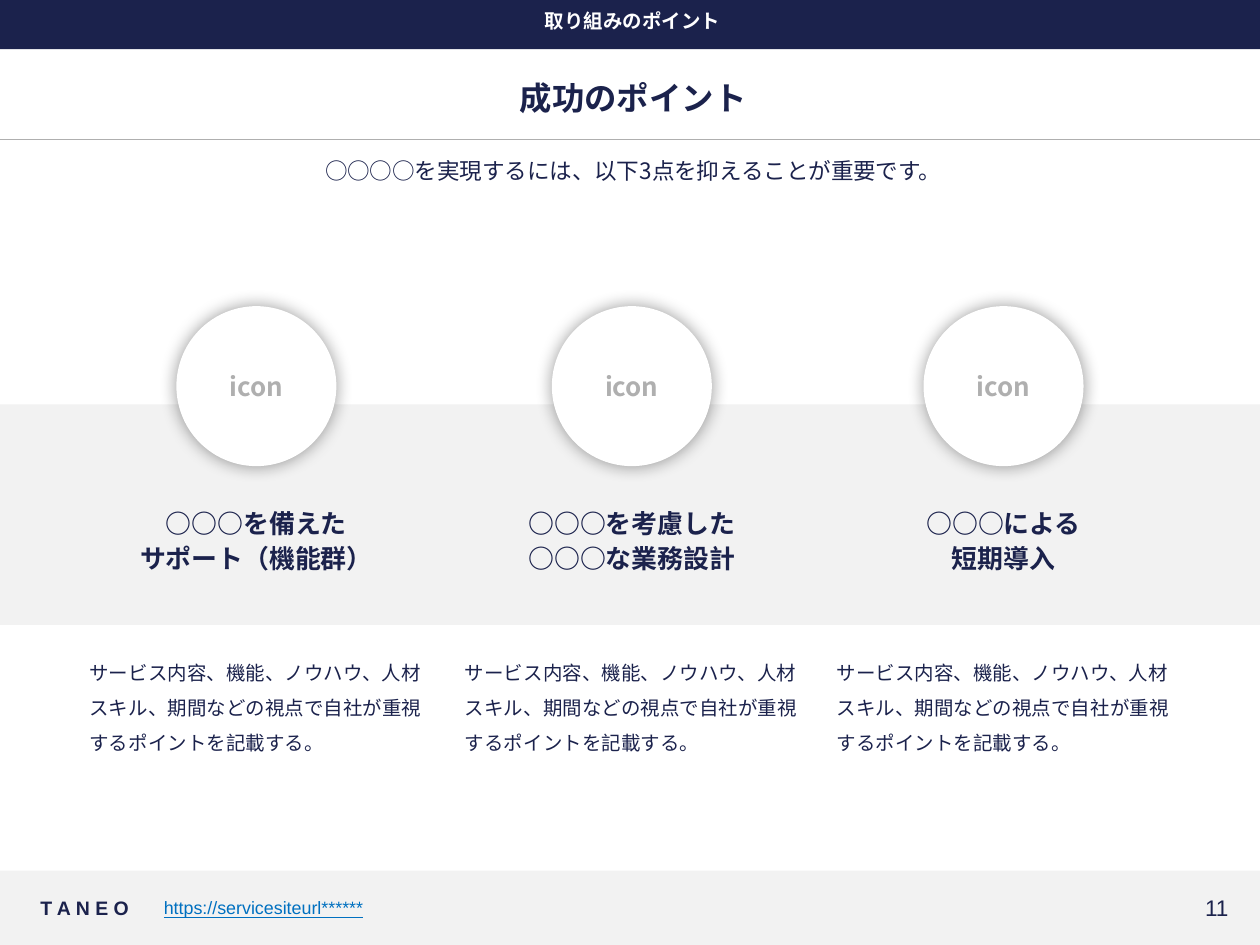
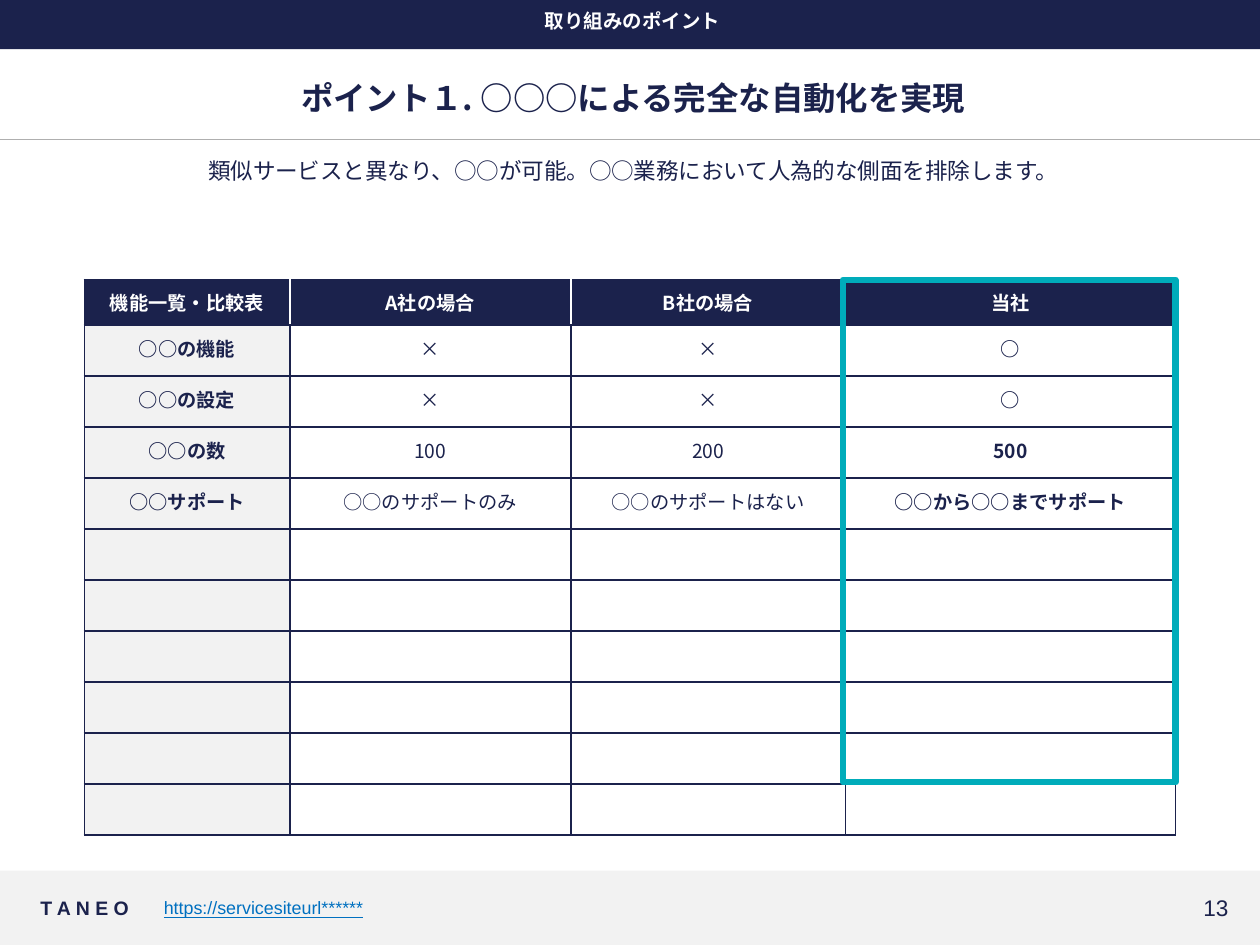
from lxml import etree
from pptx import Presentation
from pptx.dml.color import RGBColor
from pptx.enum.shapes import MSO_CONNECTOR, MSO_SHAPE
from pptx.enum.text import MSO_ANCHOR as ANCHOR, PP_ALIGN as ALIGN
from pptx.oxml.ns import qn
from pptx.util import Inches, Pt

NAVY = RGBColor(0x1B, 0x22, 0x4C)
WHITE = RGBColor(0xFF, 0xFF, 0xFF)
PALE = RGBColor(0xF2, 0xF2, 0xF2)
GRAY = RGBColor(0xAF, 0xAF, 0xAF)
BLUE = RGBColor(0x00, 0x70, 0xC0)
TEAL = RGBColor(0x00, 0xAC, 0xBA)
SANS, ARIAL = "Noto Sans CJK JP", "Arial"


def write(tf, text, size, color=NAVY, bold=False, align=ALIGN.LEFT, font=SANS,
          anchor=ANCHOR.TOP, inset=0.04, spacing=None, after=0):
    """Fill a text frame, one paragraph per line of text, in one style."""
    tf.text = text
    tf.word_wrap = True
    tf.vertical_anchor = anchor
    tf.margin_left = tf.margin_right = Inches(inset)
    tf.margin_top = tf.margin_bottom = Inches(inset)
    for p in tf.paragraphs:
        p.alignment = align
        p.line_spacing = spacing
        p.space_before, p.space_after = Pt(0), Pt(after)
        p.font.size, p.font.bold, p.font.name = Pt(size), bold, font
        p.font.color.rgb = color
        props = p._p.pPr.find(qn("a:defRPr"))
        etree.SubElement(props, qn("a:ea")).set("typeface", SANS)


def add_box(s, kind, left, top, width, height, fill=None):
    """Add a text box (kind None) or a flat preset shape without outline."""
    place = [Inches(v) for v in (left, top, width, height)]
    if kind is None:
        return s.shapes.add_textbox(*place)
    sp = s.shapes.add_shape(kind, *place)
    sp.shadow.inherit = False
    sp.line.fill.background()
    if fill is None:
        sp.fill.background()
    else:
        sp.fill.solid()
        sp.fill.fore_color.rgb = fill
    return sp


prs = Presentation()
prs.slide_width, prs.slide_height = Inches(10), Inches(7.5)

# Shared frame: bands, rule, title, lead and footer
pages = [
    ("11", "成功のポイント", "○○○○を実現するには、以下3点を抑えることが重要です。"),
    ("13", "ポイント１. ○○○による完全な自動化を実現",
     "類似サービスと異なり、○○が可能。○○業務において人為的な側面を排除します。"),
]
slides = []
for number, title, lead in pages:
    s = prs.slides.add_slide(prs.slide_layouts[5])
    slides.append(s)
    add_box(s, MSO_SHAPE.RECTANGLE, 0, 6.91, 10, 0.59, PALE)
    add_box(s, MSO_SHAPE.RECTANGLE, 0, -0.01, 10, 0.4, NAVY)
    rule = s.shapes.add_connector(MSO_CONNECTOR.STRAIGHT, 0, Inches(1.11),
                                  Inches(10), Inches(1.11))
    rule.line.color.rgb, rule.line.width = GRAY, Pt(0.5)
    etree.SubElement(rule._element.spPr, qn("a:effectLst"))

    sp = s.shapes.title
    sp.left, sp.top = Inches(0.48), Inches(0.58)
    sp.width, sp.height = Inches(9.09), Inches(0.39)
    write(sp.text_frame, title, 18.5, bold=True, align=ALIGN.CENTER,
          anchor=ANCHOR.MIDDLE)
    write(add_box(s, None, 0.48, 0.05, 9.08, 0.3).text_frame, "取り組みのポイント",
          11.1, WHITE, True, ALIGN.CENTER, spacing=0.9)
    write(add_box(s, None, 0.48, 1.23, 9.09, 0.63).text_frame, lead, 12.9,
          align=ALIGN.CENTER, spacing=0.9)

    tf = add_box(s, None, 1.26, 7.05, 7.28, 0.31).text_frame
    write(tf, "https://servicesiteurl******", 10.2, BLUE, font=ARIAL,
          anchor=ANCHOR.MIDDLE)
    tf.paragraphs[0].font.underline = True
    tf = add_box(s, None, 0.28, 7.05, 0.98, 0.31).text_frame
    write(tf, "T A N E O", 11.1, bold=True, font=ARIAL, anchor=ANCHOR.MIDDLE)
    tf.word_wrap = False
    write(add_box(s, None, 8.81, 7.05, 0.98, 0.31).text_frame, number, 12.9,
          align=ALIGN.RIGHT, font=ARIAL, anchor=ANCHOR.MIDDLE)

# Slide 1: three success points
s = slides[0]
add_box(s, MSO_SHAPE.RECTANGLE, 0, 3.21, 10, 1.75, PALE)
points = [
    (0.67, "○○○を備えた\nサポート（機能群）"),
    (3.65, "○○○を考慮した\n○○○な業務設計"),
    (6.6, "○○○による\n短期導入"),
]
detail = "サービス内容、機能、ノウハウ、人材スキル、期間などの視点で自社が重視するポイントを記載する。"
for left, heading in points:
    icon = add_box(s, MSO_SHAPE.OVAL, left + 0.73, 2.43, 1.27, 1.27, WHITE)
    write(icon.text_frame, "icon", 14.8, GRAY, True, ALIGN.CENTER,
          anchor=ANCHOR.MIDDLE)
    glow = etree.SubElement(icon._element.spPr.find(qn("a:effectLst")),
                            qn("a:outerShdw"), blurRad=str(Pt(10)), dist="0",
                            algn="ctr", rotWithShape="0")
    black = etree.SubElement(glow, qn("a:srgbClr"), val="000000")
    etree.SubElement(black, qn("a:alpha"), val="40000")
    write(add_box(s, None, left, 3.94, 2.73, 0.73).text_frame, heading, 14.8,
          bold=True, align=ALIGN.CENTER, anchor=ANCHOR.MIDDLE, spacing=0.9, after=4)
    write(add_box(s, None, left, 5.11, 2.73, 1.27).text_frame, detail, 11.1,
          font=ARIAL, spacing=Pt(20), after=4)

# Slide 2: comparison table
s = slides[1]
rows = [
    ("機能一覧・比較表", "A社の場合", "B社の場合", "当社"),
    ("○○の機能", "×", "×", "○"),
    ("○○の設定", "×", "×", "○"),
    ("○○の数", "100", "200", "500"),
    ("○○サポート", "○○のサポートのみ", "○○のサポートはない", "○○から○○までサポート"),
] + [("",) * 4] * 6
widths = [1.63, 2.23, 2.18, 2.62]
table = s.shapes.add_table(len(rows), len(widths), Inches(0.67), Inches(2.22),
                           Inches(sum(widths)), Inches(4.41)).table
table.first_row = table.horz_banding = False
for col, width in zip(table.columns, widths):
    col.width = Inches(width)
for i, texts in enumerate(rows):
    header = i == 0
    table.rows[i].height = Inches(0.36) if header else Inches(4.05 / 10)
    for j, text in enumerate(texts):
        cell = table.cell(i, j)
        write(cell.text_frame, text, 11, WHITE if header else NAVY,
              header or j in (0, 3), ALIGN.CENTER)
        cell.vertical_anchor = ANCHOR.MIDDLE
        cell.margin_left = cell.margin_right = cell.margin_top = Inches(0.07)
        cell.margin_bottom = Inches(0.07 if header else 0.11)
        if header or j == 0:
            cell.fill.solid()
            cell.fill.fore_color.rgb = NAVY if header else PALE
        else:
            cell.fill.background()
        inner = {"L": header and j > 0, "R": header and j < 3, "T": False, "B": False}
        for k, (side, light) in enumerate(inner.items()):
            ln = etree.Element(qn("a:ln" + side), w=str(Pt(1)))
            fill = etree.SubElement(ln, qn("a:solidFill"))
            etree.SubElement(fill, qn("a:srgbClr"), val=str(WHITE if light else NAVY))
            cell._tc.get_or_add_tcPr().insert(k, ln)

frame = add_box(s, MSO_SHAPE.RECTANGLE, 6.69, 2.22, 2.64, 3.99)
frame.line.color.rgb, frame.line.width = TEAL, Pt(3.5)

prs.save("out.pptx")
